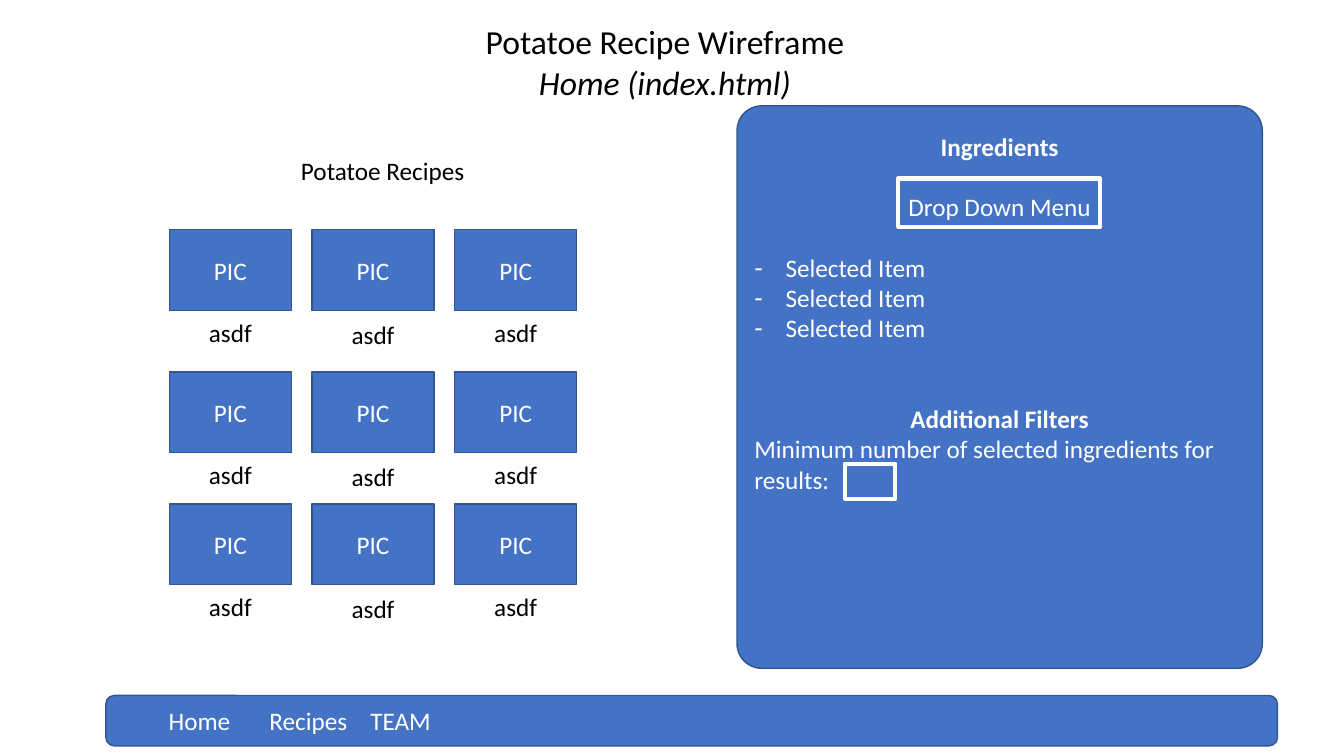
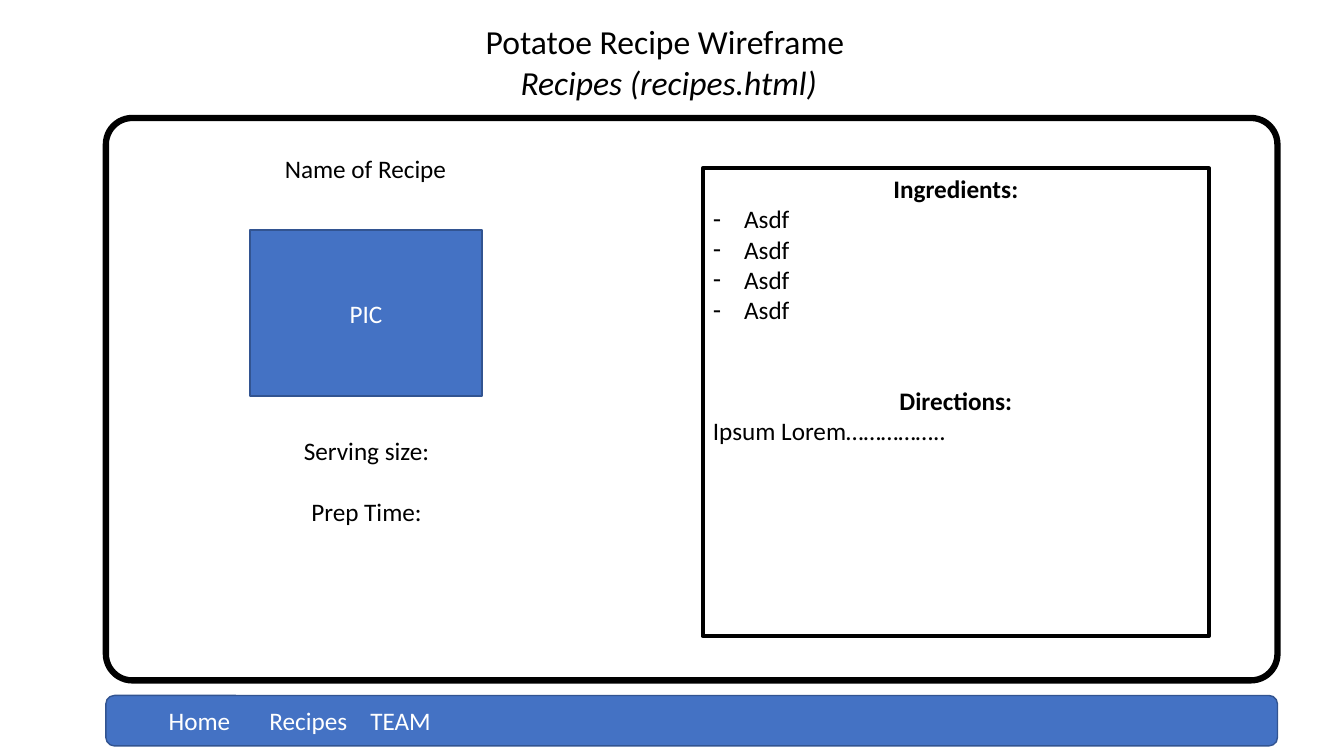
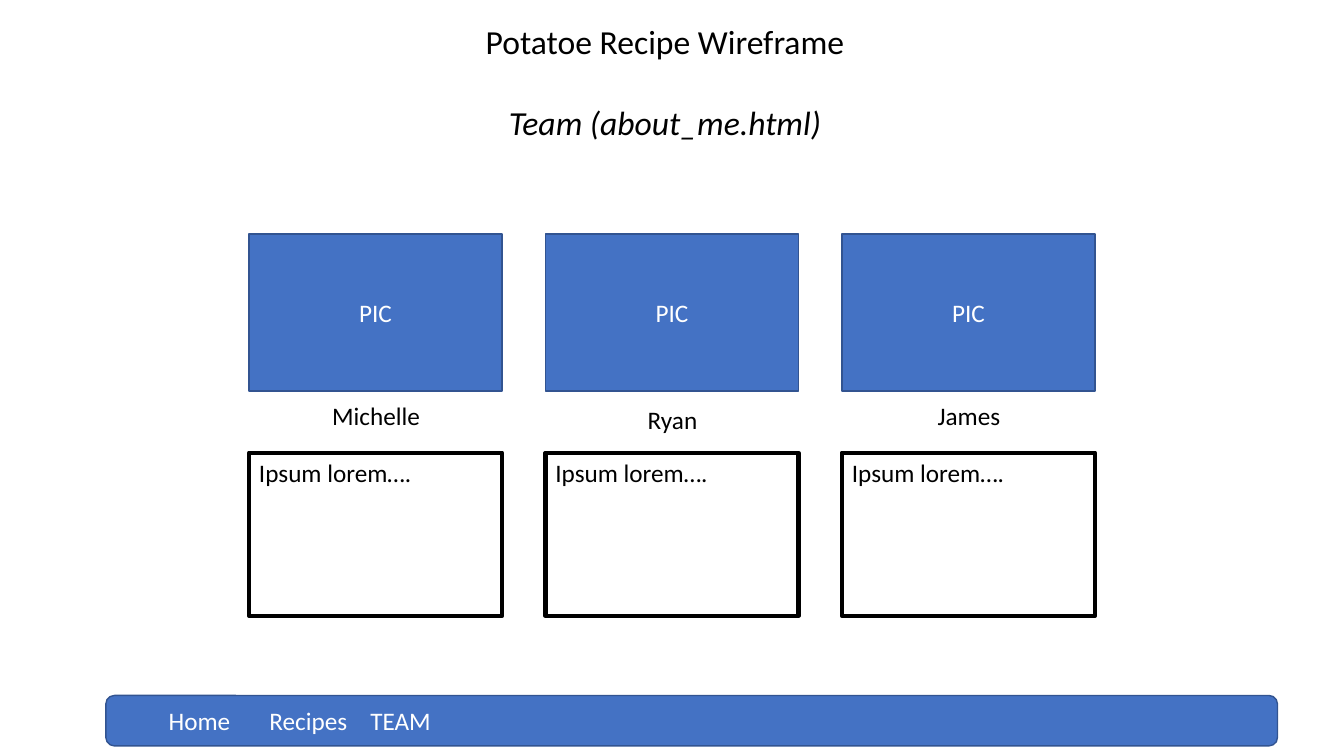
"""Build a three-page wireframe deck for a recipe website."""
from dataclasses import dataclass

from lxml import etree
from pptx import Presentation
from pptx.dml.color import RGBColor
from pptx.enum.shapes import MSO_SHAPE
from pptx.enum.text import MSO_ANCHOR, MSO_AUTO_SIZE, PP_ALIGN
from pptx.oxml import parse_xml
from pptx.oxml.ns import nsdecls, qn
from pptx.util import Inches, Pt

RECT, ROUND = MSO_SHAPE.RECTANGLE, MSO_SHAPE.ROUNDED_RECTANGLE
TOP, MIDDLE = MSO_ANCHOR.TOP, MSO_ANCHOR.MIDDLE
LEFT, CENTER = PP_ALIGN.LEFT, PP_ALIGN.CENTER
FIXED = MSO_AUTO_SIZE.NONE


@dataclass(frozen=True)
class Theme:
    font: str = "Calibri"
    title: Pt = Pt(24)
    body: Pt = Pt(18)
    blank: Pt = Pt(21.6)
    title_blank: Pt = Pt(28.8)
    blue: RGBColor = RGBColor(0x44, 0x72, 0xC4)
    edge: RGBColor = RGBColor(0x32, 0x54, 0x91)
    ink: RGBColor = RGBColor(0, 0, 0)
    white: RGBColor = RGBColor(255, 255, 255)


theme = Theme()
HEADING = {"bold": True}
ITEM = {"alignment": LEFT, "bullet": True}
PLAIN = {"alignment": LEFT}
BLOCK = {"fill": theme.blue, "line": theme.edge, "weight": 1, "color": theme.white, "anchor": MIDDLE}
FRAME = {"line": theme.ink, "weight": 3}


def write(box, lines, color=theme.ink, size=theme.body, anchor=TOP, top=0.05):
    """Fill a box with (text, format) lines, centred unless told otherwise."""
    frame = box.text_frame
    layout = {"word_wrap": True, "auto_size": FIXED, "vertical_anchor": anchor,
              "margin_left": Inches(0.1), "margin_right": Inches(0.1),
              "margin_top": Inches(top), "margin_bottom": Inches(0.05)}
    for name, value in layout.items():
        setattr(frame, name, value)
    for index, (text, style) in enumerate(lines):
        para = frame.add_paragraph() if index else frame.paragraphs[0]
        spacing = {"alignment": CENTER, "space_before": Pt(0), "space_after": Pt(0), "line_spacing": 1.0}
        for name, value in spacing.items():
            setattr(para, name, style.get(name, value))
        span = para.add_run()
        span.text = text
        letters = {"name": theme.font, "size": size, "bold": False, "italic": False}
        for name, value in letters.items():
            setattr(span.font, name, style.get(name, value))
        span.font.color.rgb = color
        properties = para._p.get_or_add_pPr()
        indent = Inches(0.31) if style.get("bullet") else 0
        properties.set("marL", str(indent))
        properties.set("indent", str(-indent))
        if indent:
            etree.SubElement(properties, qn("a:buChar")).set("char", "-")
        else:
            etree.SubElement(properties, qn("a:buNone"))


def place(page, at, lines=(), box=None, kind=RECT, fill=None, line=None, weight=0, rounding=None, **text):
    """Draw a new shape, or move and format the given placeholder."""
    left, top, width, height = (Inches(value) for value in at)
    if box is None:
        box = page.shapes.add_shape(kind, left, top, width, height)
        box.shadow.inherit = False
        if rounding:
            box.adjustments[0] = rounding
    else:
        for name, value in {"left": left, "top": top, "width": width, "height": height}.items():
            setattr(box, name, value)
        if rounding:
            box._element.spPr.append(parse_xml(
                f'<a:prstGeom {nsdecls("a")} prst="roundRect"><a:avLst>'
                f'<a:gd name="adj" fmla="val {round(rounding * 100000)}"/></a:avLst></a:prstGeom>'))
    for paint, color in ((box.fill, fill), (box.line.fill, line)):
        if color is None:
            paint.background()
        else:
            paint.solid()
            paint.fore_color.rgb = color
    if line is not None:
        box.line.width = Pt(weight)
    if lines:
        write(box, lines, **text)
    return box


deck = Presentation()
deck.slide_width, deck.slide_height = Inches(13.33), Inches(7.5)

pages = []
for layout, subtitle, height, gap in (
    (1, "Home (index.html)", 1.31, Pt(0)),
    (1, " Recipes (recipes.html)", 1.31, Pt(0)),
    (5, "Team (about_me.html)", 1.72, theme.title_blank),
):
    page = deck.slides.add_slide(deck.slide_layouts[layout])
    place(page, (3.92, 0.16, 5.35, height),
          [("Potatoe Recipe Wireframe", {}), (subtitle, {"italic": True, "space_before": gap})],
          box=page.shapes.title, size=theme.title)
    menu = place(page, (1.05, 6.9, 11.62, 0.5), [("\tHome\tRecipes\tTEAM", PLAIN)], kind=ROUND, **BLOCK)
    stops = etree.SubElement(menu.text_frame.paragraphs[0]._p.get_or_add_pPr(), qn("a:tabLst"))
    for position in (1.33, 5.49, 9.42):
        stop = etree.SubElement(stops, qn("a:tab"))
        stop.set("pos", str(Inches(position)))
        stop.set("algn", "l")
    pages.append(page)
home, recipe, team = pages

place(home, (2.2, 1.49, 3.19, 0.4), [("Potatoe Recipes", {})])
for row_top in (2.28, 3.69, 5):
    for column in range(3):
        left = 1.68 + 1.415 * column
        drop = 0.02 if column == 1 else 0
        place(home, (left, row_top, 1.21, 0.8), [("PIC", {})], **BLOCK)
        place(home, (left + 0.235, row_top + 0.82 + drop, 0.74, 0.4), [("asdf", {})])

filters = [
    ("Ingredients", HEADING),
    ("Drop Down Menu", {"space_before": theme.blank}),
    ("Selected Item", ITEM | {"space_before": theme.blank}),
    ("Selected Item", ITEM),
    ("Selected Item", ITEM),
    ("Additional Filters", HEADING | {"space_before": theme.blank * 2}),
    ("Minimum number of selected ingredients for results:", PLAIN),
]
place(home, (7.31, 1.05, 5.21, 5.58), filters, box=home.placeholders[1], rounding=0.047,
      **BLOCK | {"anchor": TOP, "top": 0.18})
for field in ((8.91, 1.77, 2, 0.48), (8.38, 4.6, 0.5, 0.35)):
    place(home, field, line=theme.white, weight=3)

place(recipe, (2.03, 1.47, 3.19, 0.4), [("Name of Recipe", {})])
place(recipe, (2.48, 2.28, 2.3, 1.65), [("PIC", {})], **BLOCK)
place(recipe, (2.79, 3.97, 1.69, 1.31),
      [("Serving size:", {}), ("Prep Time:", {"space_before": theme.blank})], top=0.35)
place(recipe, (1.05, 1.17, 11.62, 5.58), kind=ROUND, rounding=0.047, line=theme.ink, weight=4.5)
details = [
    ("Ingredients:", HEADING),
    *[("Asdf", ITEM)] * 4,
    ("Directions:", HEADING | {"space_before": theme.blank * 2}),
    ("Ipsum Lorem……………..", PLAIN),
]
place(recipe, (6.97, 1.67, 5.02, 4.64), details, box=recipe.placeholders[1], **FRAME)

for column, member in enumerate(("Michelle", "Ryan", "James")):
    left = 2.47 + 2.94 * column
    drop = 0.04 if column == 1 else 0
    place(team, (left, 2.32, 2.51, 1.56), [("PIC", {})], **BLOCK)
    place(team, (left + 0.49, 3.92 + drop, 1.54, 0.4), [(member, {})])
    place(team, (left, 4.49, 2.51, 1.62), [("Ipsum lorem….", PLAIN)], **FRAME)

deck.save("out.pptx")
